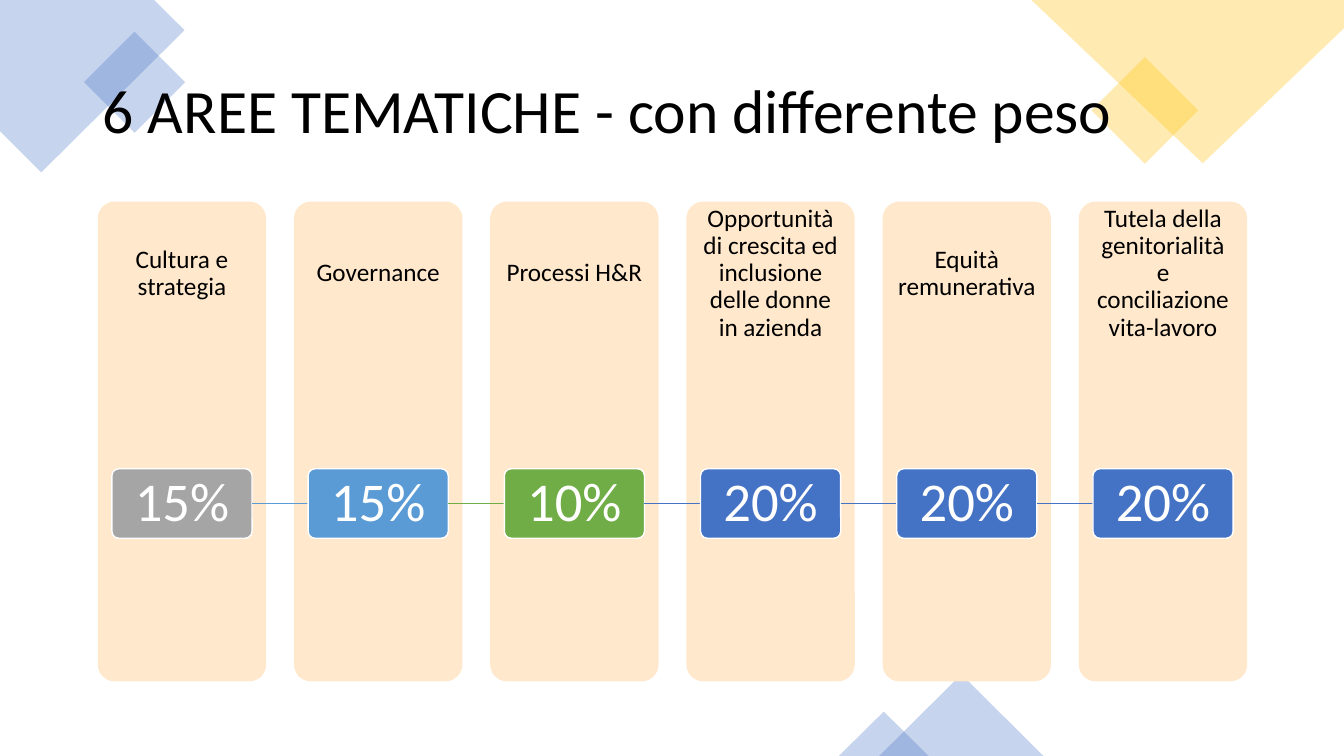
from lxml import etree
from pptx import Presentation
from pptx.dml.color import RGBColor
from pptx.enum.shapes import MSO_CONNECTOR, MSO_SHAPE
from pptx.enum.text import MSO_ANCHOR, MSO_AUTO_SIZE, PP_ALIGN
from pptx.oxml.ns import qn
from pptx.util import Inches, Pt

RECT, TRIANGLE = MSO_SHAPE.RECTANGLE, MSO_SHAPE.ISOSCELES_TRIANGLE
ROUNDED, STRAIGHT = MSO_SHAPE.ROUNDED_RECTANGLE, MSO_CONNECTOR.STRAIGHT
MIDDLE, NO_FIT = MSO_ANCHOR.MIDDLE, MSO_AUTO_SIZE.NONE
LEFT, CENTER = PP_ALIGN.LEFT, PP_ALIGN.CENTER

BLACK = RGBColor(0x00, 0x00, 0x00)
WHITE = RGBColor(0xFF, 0xFF, 0xFF)
BLUE = RGBColor(0x44, 0x72, 0xC4)
GOLD = RGBColor(0xFF, 0xC0, 0x00)
GRAY = RGBColor(0xA5, 0xA5, 0xA5)
SKY = RGBColor(0x5B, 0x9B, 0xD5)
GREEN = RGBColor(0x70, 0xAD, 0x47)
PEACH = RGBColor(0xFF, 0xE8, 0xCC)

AREAS = [
    ("Cultura e strategia", "15%", GRAY),
    ("Governance", "15%", SKY),
    ("Processi H&R", "10%", GREEN),
    ("Opportunità di crescita ed inclusione delle donne in azienda", "20%", BLUE),
    ("Equità remunerativa", "20%", BLUE),
    ("Tutela della genitorialità e conciliazione vita-lavoro", "20%", BLUE),
]
# Outlines in slide inches
CORNERS = [
    (BLUE, [(0, 0), (0, 1.3), (0.41, 1.71), (1.83, 0.3), (1.53, 0)]),
    (GOLD, [(10.23, 0), (13.33, 0), (13.33, 0.28), (11.93, 1.62)]),
]
# Shape, colour, rotation, box
ACCENTS = [
    (RECT, BLUE, 315, (0.98, 0.46, 0.71, 0.71)),
    (RECT, GOLD, 315, (10.98, 0.72, 0.75, 0.75)),
    (TRIANGLE, BLUE, 0, (8.72, 6.69, 1.63, 0.81)),
    (TRIANGLE, BLUE, 0, (8.32, 7.06, 0.89, 0.44)),
]


def paint(sp, color, alpha=None):
    """Flat fill without outline or shadow; alpha is a percentage."""
    sp.shadow.inherit = False
    sp.line.fill.background()
    sp.fill.solid()
    sp.fill.fore_color.rgb = color
    if alpha is not None:
        clr = sp.element.spPr.find(qn("a:solidFill")).find(qn("a:srgbClr"))
        etree.SubElement(clr, qn("a:alpha")).set("val", str(alpha * 1000))


def write(sp, text, size, color, align=CENTER, inset=0.1, inset_y=None):
    tf = sp.text_frame
    margin, margin_y = Inches(inset), Inches(inset if inset_y is None else inset_y)
    frame = {"word_wrap": True, "auto_size": NO_FIT, "vertical_anchor": MIDDLE,
             "margin_left": margin, "margin_right": margin,
             "margin_top": margin_y, "margin_bottom": margin_y}
    for name, value in frame.items():
        setattr(tf, name, value)
    p = tf.paragraphs[0]
    p.alignment, p.line_spacing = align, 0.9
    r = p.add_run()
    r.text = text
    for name, value in {"name": "Calibri", "size": Pt(size), "bold": False}.items():
        setattr(r.font, name, value)
    r.font.color.rgb = color


def add_decoration(s):
    for color, points in CORNERS:
        start, *rest = [(Inches(x), Inches(y)) for x, y in points]
        builder = s.shapes.build_freeform(*start)
        builder.add_line_segments(rest, close=True)
        paint(builder.convert_to_shape(), color, 30)
    for kind, color, rotation, box in ACCENTS:
        sp = s.shapes.add_shape(kind, *map(Inches, box))
        sp.rotation = rotation
        paint(sp, color, 30)


def add_title(s, text, x, y, w, h):
    title = s.shapes.title
    title.left, title.top, title.width, title.height = map(Inches, (x, y, w, h))
    write(title, text, 44, BLACK, LEFT, inset_y=0.05)
    title.element.getparent().append(title.element)  # in front of the decoration


def add_rounded(s, x, y, w, h, color):
    sp = s.shapes.add_shape(ROUNDED, *map(Inches, (x, y, w, h)))
    sp.adjustments[0] = 0.1
    paint(sp, color)
    return sp


def add_card(s, label, x, y, w, h):
    add_rounded(s, x, y, w, h, PEACH)
    box = s.shapes.add_textbox(*map(Inches, (x, y, w, h * 0.3)))
    write(box, label, 18, BLACK, inset=0.14)


def add_badge(s, weight, color, x, y, w, h):
    sp = add_rounded(s, x, y, w, h, color)
    sp.line.color.rgb = WHITE
    sp.line.width = Pt(1)
    write(sp, weight, 39, WHITE, inset=0.05)


def add_link(s, color, x1, x2, y):
    line = s.shapes.add_connector(STRAIGHT, *map(Inches, (x1, y, x2, y)))
    line.line.color.rgb = color
    line.line.width = Pt(1)
    etree.SubElement(line.element.spPr, qn("a:effectLst"))


def add_areas(s, x, y, w, h):
    """Cards in equal columns, with a chain of weight badges across them."""
    card_w, badge_w, badge_h = 1.67, 1.39, 0.69
    step = (w - card_w) / (len(AREAS) - 1)
    pad = (card_w - badge_w) / 2
    badge_y = y + 2.65
    for i, (label, _, _) in enumerate(AREAS):
        add_card(s, label, x + i * step, y, card_w, h)
    for i, (_, weight, color) in enumerate(AREAS):
        left = x + i * step + pad
        if i:
            add_link(s, color, left - step + badge_w, left, badge_y + badge_h / 2)
        add_badge(s, weight, color, left, badge_y, badge_w, badge_h)


def main():
    prs = Presentation()
    prs.slide_width, prs.slide_height = Inches(13.33), Inches(7.5)
    s = prs.slides.add_slide(prs.slide_layouts[5])
    add_decoration(s)
    add_title(s, "6 AREE TEMATICHE - con differente peso", 0.92, 0.4, 11.5, 1.45)
    add_areas(s, 0.97, 2, 11.4, 4.76)
    prs.save("out.pptx")


if __name__ == "__main__":
    main()
